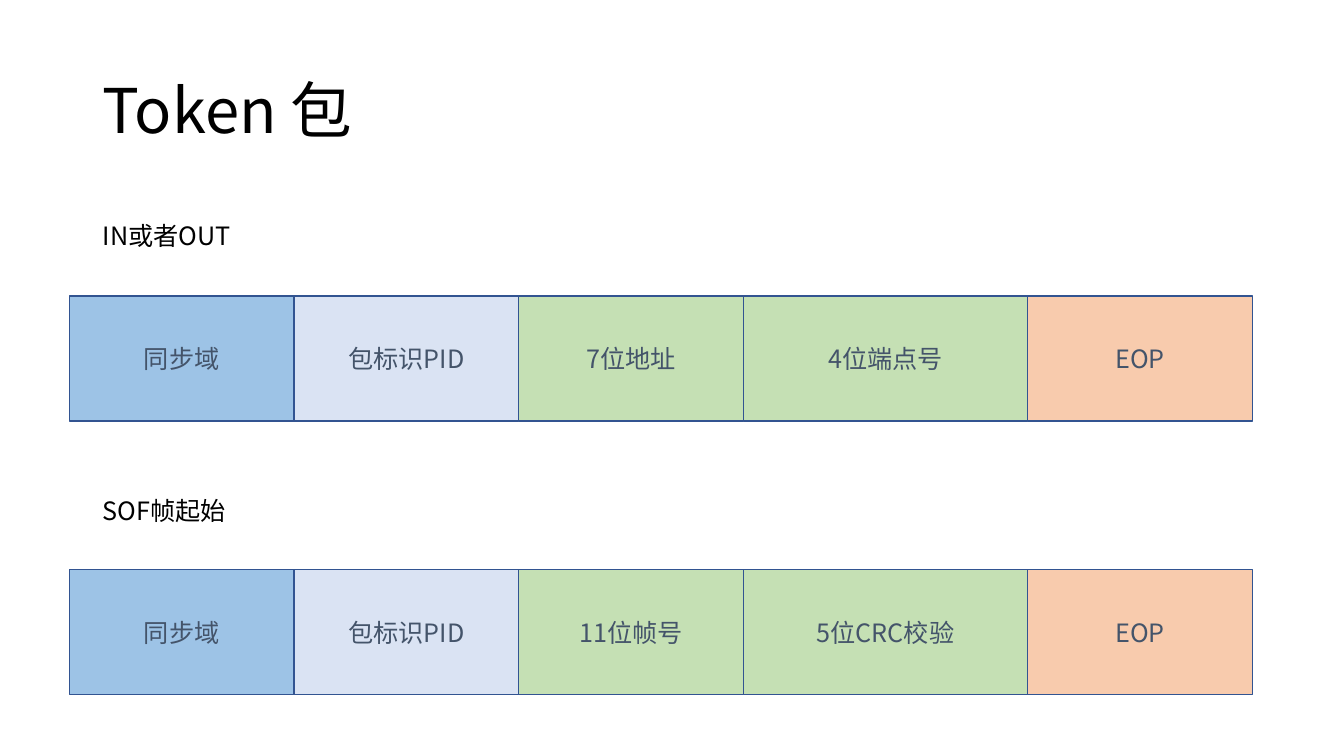
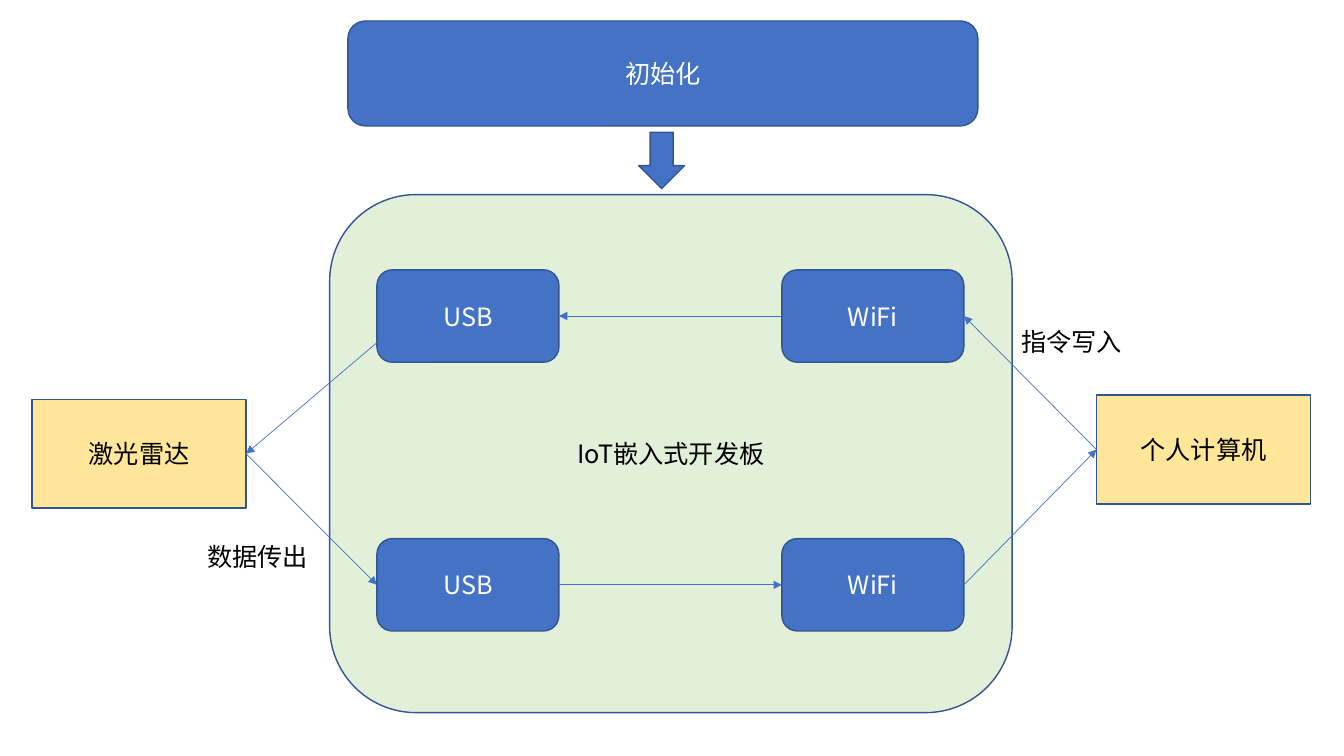
from dataclasses import dataclass
from itertools import accumulate
from typing import Optional

from lxml.etree import SubElement
from pptx import Presentation
from pptx.dml.color import RGBColor
from pptx.enum.shapes import MSO_CONNECTOR as Connector, MSO_SHAPE as Preset
from pptx.enum.text import MSO_ANCHOR as Anchor, PP_ALIGN as Align
from pptx.oxml.ns import qn
from pptx.util import Pt

FONT = "Noto Sans CJK SC"
BODY_SIZE = 18
TITLE_SIZE = 44

BLACK = RGBColor(0x00, 0x00, 0x00)
WHITE = RGBColor(0xFF, 0xFF, 0xFF)
SLATE = RGBColor(0x44, 0x54, 0x6A)
BLUE = RGBColor(0x44, 0x72, 0xC4)
OUTLINE = RGBColor(0x32, 0x54, 0x91)
SKY = RGBColor(0x9D, 0xC3, 0xE6)
PALE_BLUE = RGBColor(0xDA, 0xE3, 0xF3)
GREEN = RGBColor(0xC5, 0xE0, 0xB4)
PALE_GREEN = RGBColor(0xE2, 0xF0, 0xD9)
PEACH = RGBColor(0xF8, 0xCB, 0xAD)
YELLOW = RGBColor(0xFF, 0xE6, 0x99)

LEFT, RIGHT = 1, 3

ROW_LEFT = 49.5
ROW_HEIGHT = 89.25
CAPTION_LEFT = 66.25
FIELD_WIDTHS = (160.5, 160.5, 160.5, 203, 160.5)
FIELD_FILLS = (SKY, PALE_BLUE, GREEN, GREEN, PEACH)


@dataclass(frozen=True)
class Box:
    text: str
    left: float
    top: float
    width: float
    height: float
    fill: Optional[RGBColor] = None
    color: RGBColor = BLACK
    preset: Preset = Preset.RECTANGLE


@dataclass(frozen=True)
class Packet:
    caption: str
    caption_top: float
    row_top: float
    fields: tuple[str, ...]


@dataclass(frozen=True)
class Link:
    begin: str
    begin_side: int
    end: str
    end_side: int


PACKETS = (
    Packet("IN或者OUT", 154, 211.5, ("同步域", "包标识PID", "7位地址", "4位端点号", "EOP")),
    Packet("SOF帧起始", 350.5, 406.75, ("同步域", "包标识PID", "11位帧号", "5位CRC校验", "EOP")),
)


def module(text: str, left: float, top: float) -> Box:
    return Box(text, left, top, 130, 66, BLUE, WHITE, Preset.ROUNDED_RECTANGLE)


def device(text: str, left: float, top: float) -> Box:
    return Box(text, left, top, 152.75, 77.75, YELLOW)


FLOW_BOXES = {
    "lidar": device("激光雷达", 23, 285.25),
    "computer": device("个人计算机", 783.25, 282.25),
    "board": Box("IoT嵌入式开发板", 235.5, 139, 487.5, 370, PALE_GREEN, BLACK,
                 Preset.ROUNDED_RECTANGLE),
    "usb_in": module("USB", 269.25, 192.75),
    "usb_out": module("USB", 269.25, 384.75),
    "wifi_in": module("WiFi", 558.5, 192.75),
    "wifi_out": module("WiFi", 558.5, 384.75),
    "start": Box("初始化", 248.5, 15, 450, 75, BLUE, WHITE, Preset.ROUNDED_RECTANGLE),
    "start_arrow": Box("", 456.25, 94.5, 32.75, 40.25, BLUE, WHITE, Preset.DOWN_ARROW),
}

FLOW_LINKS = (
    Link("lidar", RIGHT, "usb_out", LEFT),
    Link("usb_out", RIGHT, "wifi_out", LEFT),
    Link("wifi_out", RIGHT, "computer", LEFT),
    Link("computer", LEFT, "wifi_in", RIGHT),
    Link("wifi_in", LEFT, "usb_in", RIGHT),
)

FLOW_LABELS = (
    Box("指令写入", 722.25, 229.75, 111.5, 29),
    Box("数据传出", 141, 383.25, 93.5, 30),
)


def write(shape, text: str, size: float, color: RGBColor, align: Align, anchor: Anchor):
    frame = shape.text_frame
    frame.word_wrap = True
    frame.vertical_anchor = anchor
    frame.text = text
    para = frame.paragraphs[0]
    para.alignment = align
    for span in para.runs:
        span.font.name = FONT
        span.font.size = Pt(size)
        span.font.color.rgb = color
        SubElement(span.font._element, qn("a:ea"), typeface=FONT)
    return para


def add_label(slide, box: Box, size: float = BODY_SIZE, anchor: Anchor = Anchor.TOP):
    label = slide.shapes.add_textbox(Pt(box.left), Pt(box.top), Pt(box.width), Pt(box.height))
    return write(label, box.text, size, box.color, Align.LEFT, anchor)


def add_box(slide, box: Box):
    shape = slide.shapes.add_shape(
        box.preset, Pt(box.left), Pt(box.top), Pt(box.width), Pt(box.height))
    shape.shadow.inherit = False
    shape.fill.solid()
    shape.fill.fore_color.rgb = box.fill
    shape.line.color.rgb = OUTLINE
    shape.line.width = Pt(1)
    if box.text:
        write(shape, box.text, BODY_SIZE, box.color, Align.CENTER, Anchor.MIDDLE)
    return shape


def add_arrow(slide, left: float = 0, top: float = 0):
    arrow = slide.shapes.add_connector(Connector.STRAIGHT, Pt(left), Pt(top), Pt(left), Pt(top))
    arrow.line.color.rgb = BLUE
    arrow.line.width = Pt(0.5)
    SubElement(arrow.line._get_or_add_ln(), qn("a:tailEnd"), type="triangle")
    SubElement(arrow._element.spPr, qn("a:effectLst"))
    return arrow


def add_packet(slide, packet: Packet) -> None:
    add_label(slide, Box(packet.caption, CAPTION_LEFT, packet.caption_top, 240, 29))
    lefts = accumulate(FIELD_WIDTHS, initial=ROW_LEFT)
    for text, left, width, fill in zip(packet.fields, lefts, FIELD_WIDTHS, FIELD_FILLS):
        add_box(slide, Box(text, left, packet.row_top, width, ROW_HEIGHT, fill, SLATE))


def build_token_slide(slide) -> None:
    title = Box("Token 包", CAPTION_LEFT, 28.75, 828, 104.5)
    add_label(slide, title, TITLE_SIZE, Anchor.MIDDLE).line_spacing = 0.9
    for packet in PACKETS:
        add_packet(slide, packet)


def build_flow_slide(slide) -> None:
    shapes = {name: add_box(slide, box) for name, box in FLOW_BOXES.items()}
    for link in FLOW_LINKS:
        arrow = add_arrow(slide)
        arrow.begin_connect(shapes[link.begin], link.begin_side)
        arrow.end_connect(shapes[link.end], link.end_side)
    add_arrow(slide, 269.25, 244.75).end_connect(shapes["lidar"], RIGHT)
    for label in FLOW_LABELS:
        add_label(slide, label)


def main() -> None:
    deck = Presentation()
    deck.slide_width = Pt(960)
    deck.slide_height = Pt(540)
    blank = deck.slide_layouts[6]
    for build in (build_token_slide, build_flow_slide):
        build(deck.slides.add_slide(blank))
    deck.save("out.pptx")


if __name__ == "__main__":
    main()
